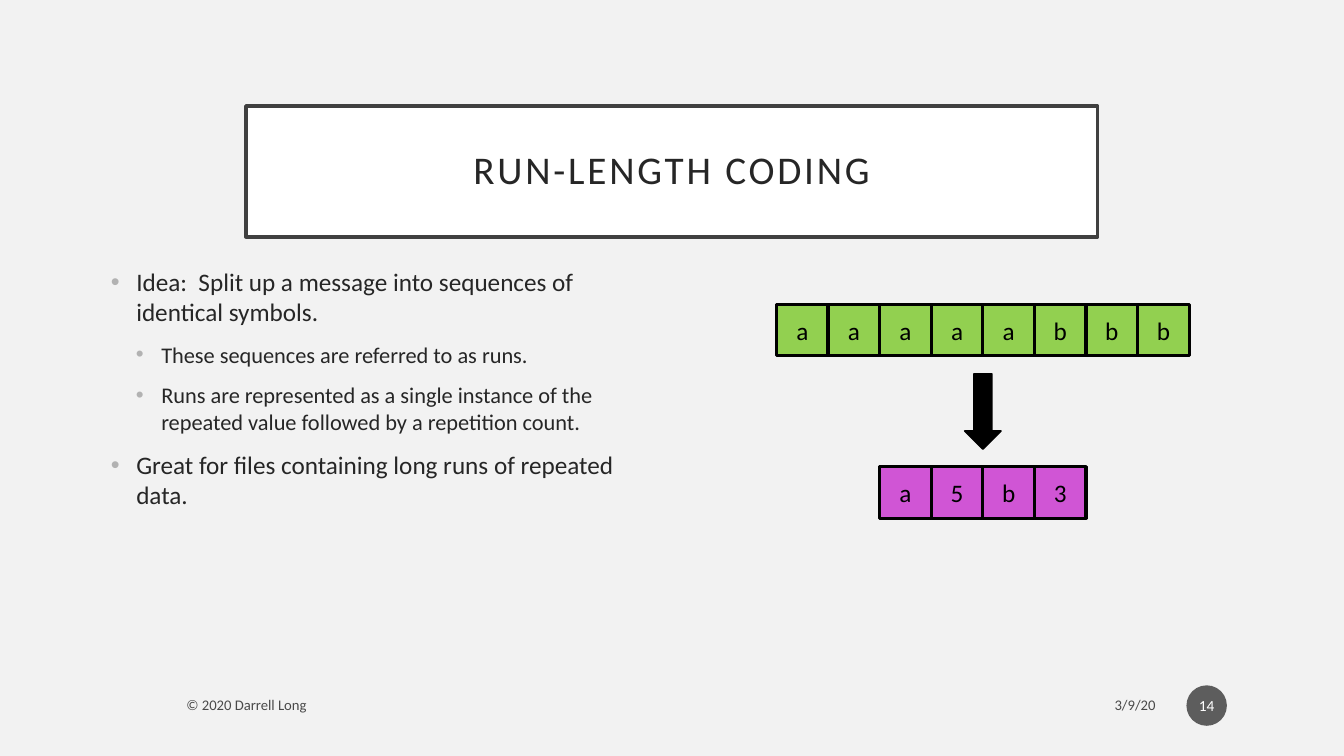
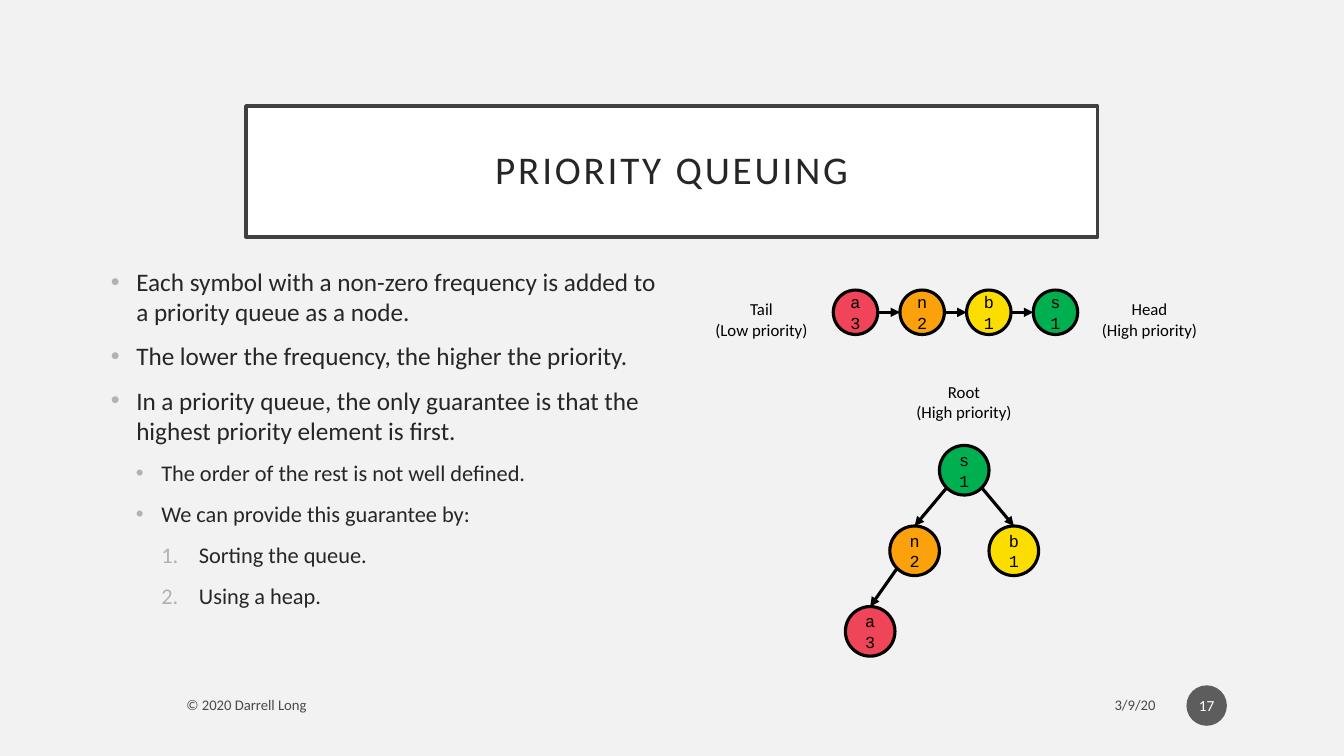
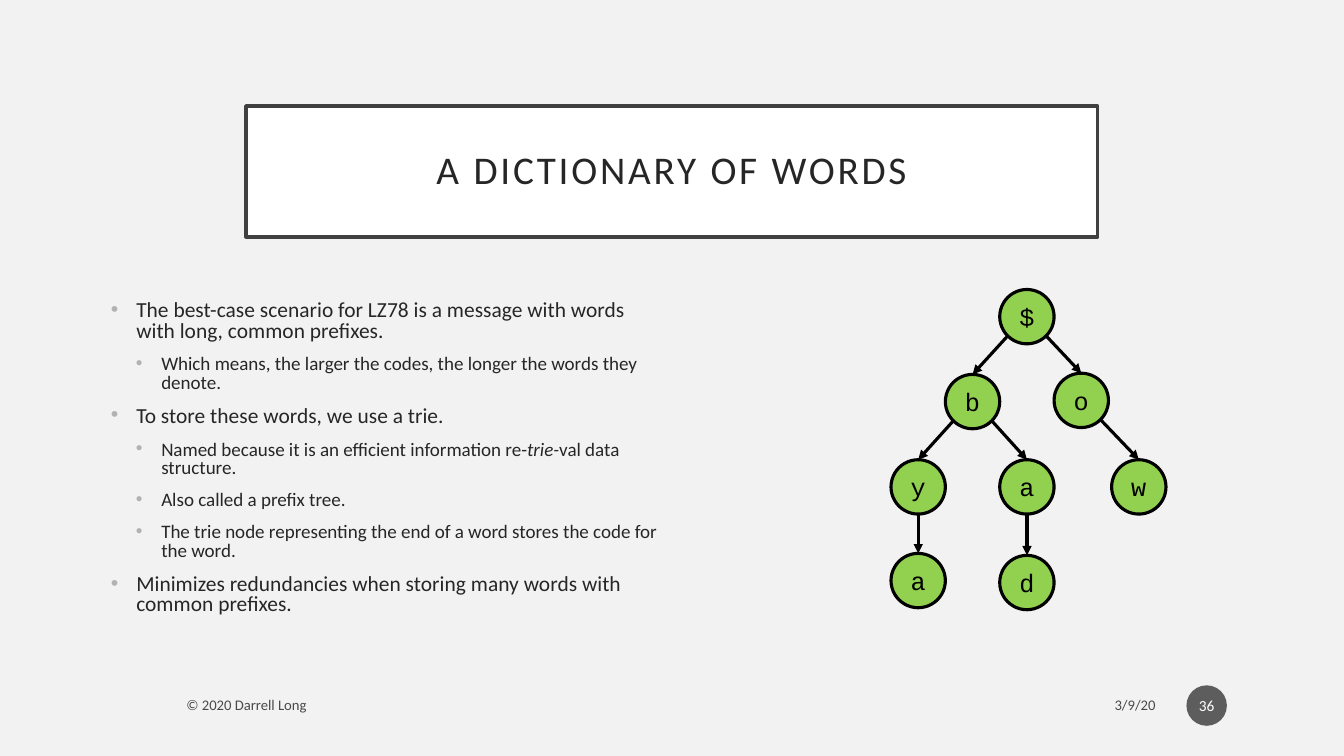
from lxml.etree import SubElement
from pptx import Presentation
from pptx.dml.color import RGBColor
from pptx.enum.shapes import MSO_CONNECTOR, MSO_SHAPE
from pptx.enum.text import MSO_ANCHOR, MSO_AUTO_SIZE, PP_ALIGN
from pptx.oxml.ns import qn
from pptx.util import Cm, Pt

COLOURS = {
    "background": "F2F2F2", "white": "FFFFFF", "black": "000000",
    "frame": "404040", "text": "262626", "bullet": "B2B2B2",
    "footer": "494949", "badge": "5D5D5D",
    "green": "92D050", "purple": "D055D5", "red": "F04458",
    "orange": "FAA10C", "yellow": "FBDE00", "emerald": "00B050",
}
SANS, MONO = "Calibri", "Courier New"
INDENTS = [(0.64, 0.64), (1.27, 0.64), (2.22, 0.95)]  # left edge, hanging part


def rgb(name):
    return RGBColor.from_string(COLOURS[name])


def write(p, text, size=18, font=SANS, colour="black", align=None,
          italic=False, tracking=None):
    """Append one formatted run to a paragraph."""
    if align is not None:
        p.alignment = align
    r = p.add_run()
    r.text = text
    r.font.size, r.font.name, r.font.italic = Pt(size), font, italic
    r.font.color.rgb = rgb(colour)
    if tracking:
        r._r.get_or_add_rPr().set("spc", str(tracking * 100))


def set_bullet(p, level, numbered):
    pPr = p._p.get_or_add_pPr()
    left, hanging = INDENTS[level]
    pPr.set("marL", str(Cm(left)))
    pPr.set("indent", str(-Cm(hanging)))
    SubElement(SubElement(pPr, qn("a:buClr")), qn("a:srgbClr"), val=COLOURS["bullet"])
    if numbered:
        SubElement(pPr, qn("a:buFont"), typeface=SANS)
        SubElement(pPr, qn("a:buAutoNum"), type="arabicPeriod")
    else:
        SubElement(pPr, qn("a:buFont"), typeface="Arial")
        SubElement(pPr, qn("a:buChar"), char="•")


class Deck:
    def __init__(self):
        self.prs = Presentation()
        self.prs.slide_width, self.prs.slide_height = Cm(33.87), Cm(19.05)
        fill = self.prs.slide_master.background.fill
        fill.solid()
        fill.fore_color.rgb = rgb("background")
        self.s = None

    def new_slide(self, title, number):
        self.s = self.prs.slides.add_slide(self.prs.slide_layouts[1])
        self.title(title)
        self.label(["© 2020 Darrell Long"], 4.45, 17.32, 16.38, 0.89,
                   size=10.5, colour="footer", align=PP_ALIGN.LEFT)
        self.label(["3/9/20"], 21.72, 17.32, 7.65, 0.89,
                   size=10.5, colour="footer", align=PP_ALIGN.RIGHT)
        self.shape(MSO_SHAPE.OVAL, 29.9, 17.27, 1.02, 1.02, "badge", None,
                   number, size=11, colour="white")

    def place(self, sp, x, y, w, h):
        sp.left, sp.top, sp.width, sp.height = Cm(x), Cm(y), Cm(w), Cm(h)

    def paint(self, sp, fill, line, width):
        sp.fill.solid()
        sp.fill.fore_color.rgb = rgb(fill)
        if line:
            sp.line.color.rgb = rgb(line)
            sp.line.width = Pt(width)
        else:
            sp.line.fill.background()

    def title(self, text):
        sp = self.s.shapes.title
        self.place(sp, 6.2, 2.67, 21.46, 3.3)
        self.paint(sp, "white", "frame", 2.5)
        tf = sp.text_frame
        tf.auto_size = MSO_AUTO_SIZE.NONE
        tf.vertical_anchor = MSO_ANCHOR.MIDDLE
        p = tf.paragraphs[0]
        p.line_spacing = 0.9
        write(p, text, 28, colour="text", align=PP_ALIGN.CENTER, tracking=2)

    def body(self, items, sizes=(18, 16, 16), top=6.58, spacing=1.0):
        """Fill the list; an item is (level, text), *marked* parts are italic."""
        sp = self.s.placeholders[1]
        self.place(sp, 2.54, top, 14.4, 16.08 - top)
        tf = sp.text_frame
        tf.auto_size = MSO_AUTO_SIZE.NONE
        for i, (level, text) in enumerate(items):
            p = tf.add_paragraph() if i else tf.paragraphs[0]
            p.level = level
            p.line_spacing = spacing
            p.space_before = Pt(10 if i else 0)
            set_bullet(p, level, numbered=level == 2)
            for j, part in enumerate(text.split("*")):
                write(p, part, sizes[level], colour="text", italic=j % 2 == 1)

    def label(self, lines, x, y, w, h, size=12, colour="black",
              align=PP_ALIGN.CENTER):
        tf = self.s.shapes.add_textbox(Cm(x), Cm(y), Cm(w), Cm(h)).text_frame
        tf.word_wrap = True
        tf.vertical_anchor = MSO_ANCHOR.MIDDLE
        for i, line in enumerate(lines):
            p = tf.add_paragraph() if i else tf.paragraphs[0]
            write(p, line, size, colour=colour, align=align)

    def shape(self, kind, x, y, w, h, fill, line="black", text="", width=2.25,
              **fmt):
        sp = self.s.shapes.add_shape(kind, Cm(x), Cm(y), Cm(w), Cm(h))
        sp.shadow.inherit = False
        self.paint(sp, fill, line, width)
        if text:
            tf = sp.text_frame
            tf.margin_left = tf.margin_right = tf.margin_top = tf.margin_bottom = 0
            tf.word_wrap = False
            tf.vertical_anchor = MSO_ANCHOR.MIDDLE
            for i, line_text in enumerate(text.split()):
                p = tf.add_paragraph() if i else tf.paragraphs[0]
                write(p, line_text, align=PP_ALIGN.CENTER, **fmt)
        return sp

    def cells(self, symbols, centre, y, fill, side=1.3):
        left = centre - len(symbols) * side / 2
        for i, symbol in enumerate(symbols):
            self.shape(MSO_SHAPE.RECTANGLE, left + i * side, y, side, side,
                       fill, text=symbol)

    def node(self, text, x, y, d, fill, size):
        """Draw a circle around the centre x, y."""
        return self.shape(MSO_SHAPE.OVAL, x - d / 2, y - d / 2, d, d, fill,
                          text=text, size=size, font=MONO)

    def arrow(self, x1, y1, x2, y2):
        c = self.s.shapes.add_connector(MSO_CONNECTOR.STRAIGHT,
                                        Cm(x1), Cm(y1), Cm(x2), Cm(y2))
        c.line.color.rgb = rgb("black")
        c.line.width = Pt(2.25)
        SubElement(c.line._get_or_add_ln(), qn("a:tailEnd"), type="triangle")
        SubElement(c._element.spPr, qn("a:effectLst"))
        return c

    def tree(self, nodes, d, size):
        """Draw nodes (text, x, y, fill, parent index) and arrows from parents."""
        r = d / 2
        diagonal = r * 0.5 ** 0.5
        for text, x, y, fill, parent in nodes:
            sp = self.node(text, x, y, d, fill, size)
            if parent is None:
                continue
            px, py = nodes[parent][1:3]
            if px == x:
                start = px, py + r
            else:
                start = px + (diagonal if x > px else -diagonal), py + diagonal
            self.arrow(*start, x, y - r).end_connect(sp, 0)


def run_length(deck):
    deck.new_slide("RUN-LENGTH CODING", "14")
    deck.body([
        (0, "Idea:  Split up a message into sequences of identical symbols."),
        (1, "These sequences are referred to as runs."),
        (1, "Runs are represented as a single instance of the repeated value "
            "followed by a repetition count."),
        (0, "Great for files containing long runs of repeated data."),
    ])
    centre = 24.77
    deck.cells("aaaaabbb", centre, 7.67, "green")
    deck.shape(MSO_SHAPE.DOWN_ARROW, centre - 0.46, 9.42, 0.92, 1.9, "black", width=1)
    deck.cells("a5b3", centre, 11.76, "purple")


def priority_queue(deck):
    deck.new_slide("PRIORITY QUEUING", "17")
    deck.body([
        (0, "Each symbol with a non-zero frequency is added to a priority queue "
            "as a node."),
        (0, "The lower the frequency, the higher the priority."),
        (0, "In a priority queue, the only guarantee is that the highest "
            "priority element is first."),
        (1, "The order of the rest is not well defined."),
        (1, "We can provide this guarantee by:"),
        (2, "Sorting the queue."),
        (2, "Using a heap."),
    ])
    d, pitch, left, y = 1.12, 1.68, 21.56, 7.87
    queue = [("a 3", "red"), ("n 2", "orange"), ("b 1", "yellow"), ("s 1", "emerald")]
    for i, (text, fill) in enumerate(queue):
        x = left + i * pitch
        deck.node(text, x, y, d, fill, 12)
        if i:
            deck.arrow(x - pitch + d / 2, y, x - d / 2, y)
    deck.label(["Tail", "(Low priority)"], 17.3, 7.37, 3.78, 1.35)
    deck.label(["Head", "(High priority)"], 27.08, 7.37, 3.78, 1.35)
    deck.label(["Root", "(High priority)"], 22.2, 9.45, 4.19, 1.35)
    deck.tree([
        ("s 1", 24.3, 11.85, "emerald", None),
        ("n 2", 23.05, 13.88, "orange", 0),
        ("b 1", 25.55, 13.88, "yellow", 0),
        ("a 3", 21.93, 15.91, "red", 1),
    ], d=1.25, size=12)


def dictionary(deck):
    deck.new_slide("A DICTIONARY OF WORDS", "36")
    deck.body([
        (0, "The best-case scenario for LZ78 is a message with words with long, "
            "common prefixes."),
        (1, "Which means, the larger the codes, the longer the words they denote."),
        (0, "To store these words, we use a trie."),
        (1, "Named because it is an efficient information re-*trie-*val data "
            "structure."),
        (1, "Also called a prefix tree."),
        (1, "The trie node representing the end of a word stores the code for "
            "the word."),
        (0, "Minimizes redundancies when storing many words with common prefixes."),
    ], sizes=(15.3, 13.6), top=7.46, spacing=0.8)
    trie = [
        ("$", 25.88, 7.98, None),
        ("b", 24.51, 10.12, 0),
        ("o", 27.25, 10.09, 0),
        ("y", 23.14, 12.27, 1),
        ("a", 25.88, 12.27, 1),
        ("w", 28.7, 12.27, 2),
        ("a", 23.14, 14.63, 3),
        ("d", 25.88, 14.68, 4),
    ]
    deck.tree([(text, x, y, "green", parent) for text, x, y, parent in trie],
              d=1.37, size=18)


def main():
    deck = Deck()
    run_length(deck)
    priority_queue(deck)
    dictionary(deck)
    deck.prs.save("out.pptx")


if __name__ == "__main__":
    main()
